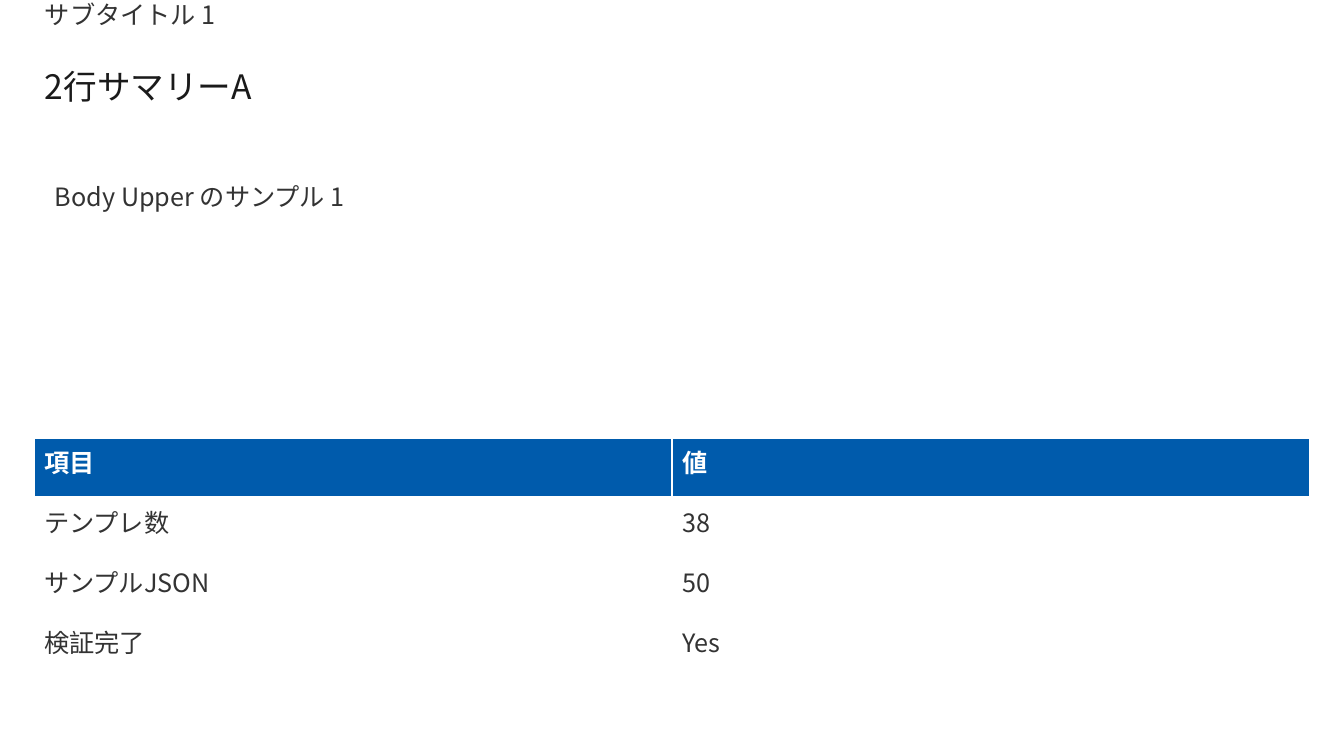
import dataclasses

import lxml.etree
import pptx
import pptx.dml.color
import pptx.enum.text
import pptx.oxml.ns
import pptx.util

SCALE = 914400 / 100.8
LEFT, WIDE = 35, 1275
GRID_LEFT, GRID_WIDE = 34, 1276
ROWS = [
    ("項目", "値"),
    ("テンプレ数", "38"),
    ("サンプルJSON", "50"),
    ("検証完了", "Yes"),
]


@dataclasses.dataclass(frozen=True)
class Theme:
    font: str = "Noto Sans CJK JP"
    dark: str = "1A1A1A"
    ink: str = "333333"
    blue: str = "005BAC"
    white: str = "FFFFFF"
    head: int = 24
    body: int = 18


THEME = Theme()


def px(count):
    return pptx.util.Emu(round(count * SCALE))


def rgb(code):
    return pptx.dml.color.RGBColor.from_string(code)


def add_node(parent, tag, **attrs):
    return lxml.etree.SubElement(parent, pptx.oxml.ns.qn(tag), attrs)


def put_text(frame, text, size=THEME.body, color=THEME.ink, bold=False,
             line=None, before=None, indent=None):
    """Write one paragraph; indent is (left margin, first line) in px."""
    para = frame.paragraphs[0]
    if line is not None:
        para.line_spacing = line
    if before is not None:
        para.space_before = pptx.util.Pt(before)
    if indent:
        props = para._p.get_or_add_pPr()
        props.set("marL", str(px(indent[0])))
        props.set("indent", str(px(indent[1])))
    run = para.add_run()
    run.text = text
    font = run.font
    font.name = THEME.font
    font.size = pptx.util.Pt(size)
    font.bold = bold
    font.color.rgb = rgb(color)
    add_node(font._element, "a:ea", typeface=THEME.font)


def add_text(slide, text, top, high, wide=WIDE, low=False, **form):
    box = slide.shapes.add_textbox(px(LEFT), px(top), px(wide), px(high))
    frame = box.text_frame
    frame.word_wrap = True
    anchor = pptx.enum.text.MSO_ANCHOR
    frame.vertical_anchor = anchor.BOTTOM if low else anchor.TOP
    put_text(frame, text, **form)


def set_edges(cell, base):
    """Draw white borders, with the bottom one base points wide."""
    props = cell._tc.get_or_add_tcPr()
    for spot, side in enumerate("LRTB"):
        width = pptx.util.Pt(base if side == "B" else 1)
        edge = add_node(props, f"a:ln{side}", w=str(width))
        fill = add_node(edge, "a:solidFill")
        add_node(fill, "a:srgbClr", val=THEME.white)
        props.insert(spot, edge)


def add_grid(slide, rows, top, high):
    count = len(rows[0])
    grid = slide.shapes.add_table(
        len(rows), count, px(GRID_LEFT), px(top),
        px(GRID_WIDE), px(high * len(rows))
    ).table
    for col in grid.columns:
        col.width = px(GRID_WIDE / count)
    for r, row in enumerate(rows):
        grid.rows[r].height = px(high)
        head = r == 0
        for c, text in enumerate(row):
            cell = grid.cell(r, c)
            cell.fill.solid()
            cell.fill.fore_color.rgb = rgb(THEME.blue if head else THEME.white)
            set_edges(cell, 3 if head else 1)
            put_text(cell.text_frame, text, bold=head,
                     color=THEME.white if head else THEME.ink)


def main():
    deck = pptx.Presentation()
    deck.slide_width, deck.slide_height = px(1344), px(756)
    slide = deck.slides.add_slide(deck.slide_layouts[6])
    add_text(slide, "2行サマリーA", 66, 92,
             size=THEME.head, color=THEME.dark, line=0.9)
    add_text(slide, "サブタイトル 1", 0, 35, wide=517, low=True,
             line=0.9, before=10)
    add_text(slide, "Body Upper のサンプル 1", 176, 240,
             line=pptx.util.Pt(22), indent=(30, -20))
    add_grid(slide, ROWS, 438, 60)
    deck.save("out.pptx")


if __name__ == "__main__":
    main()
